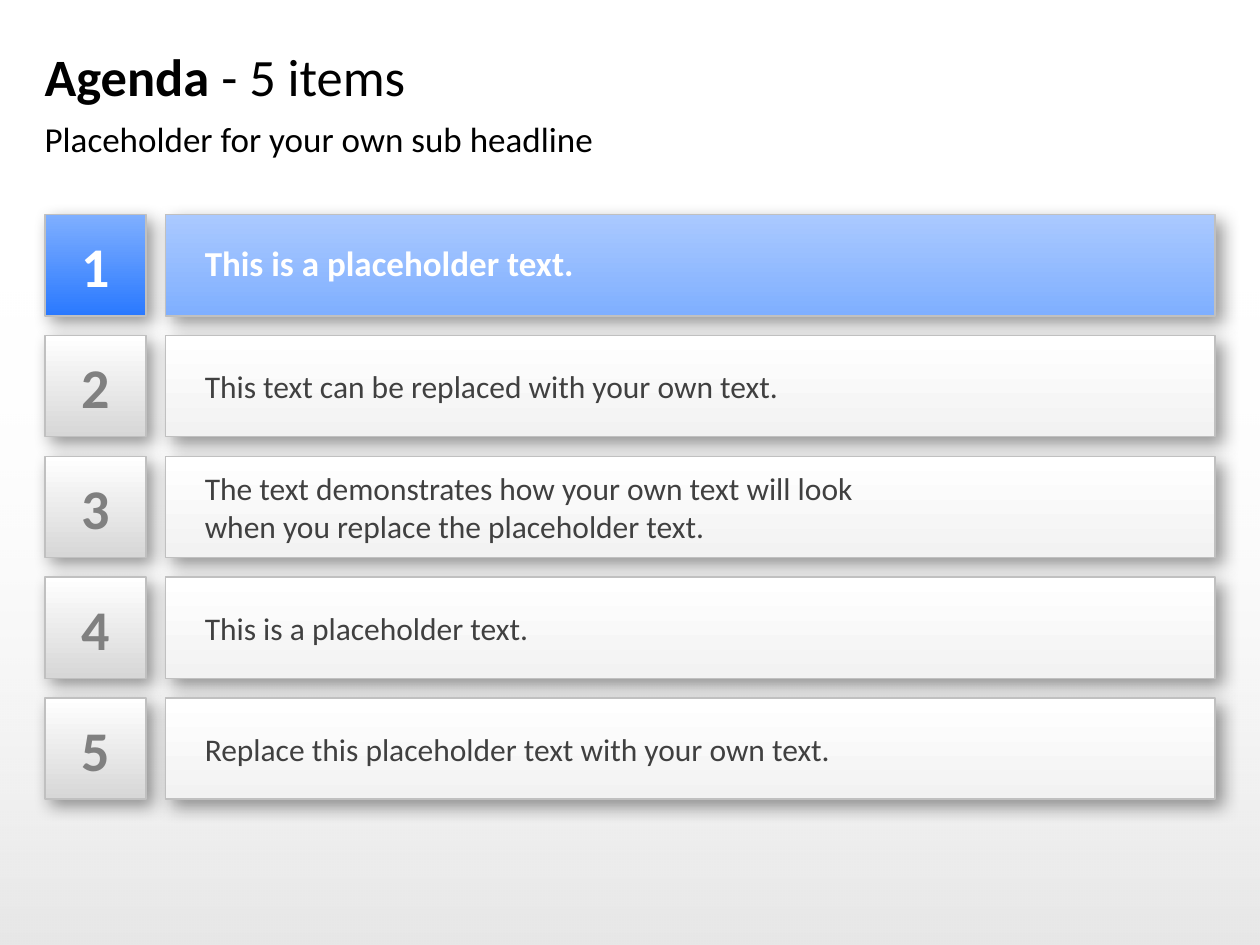
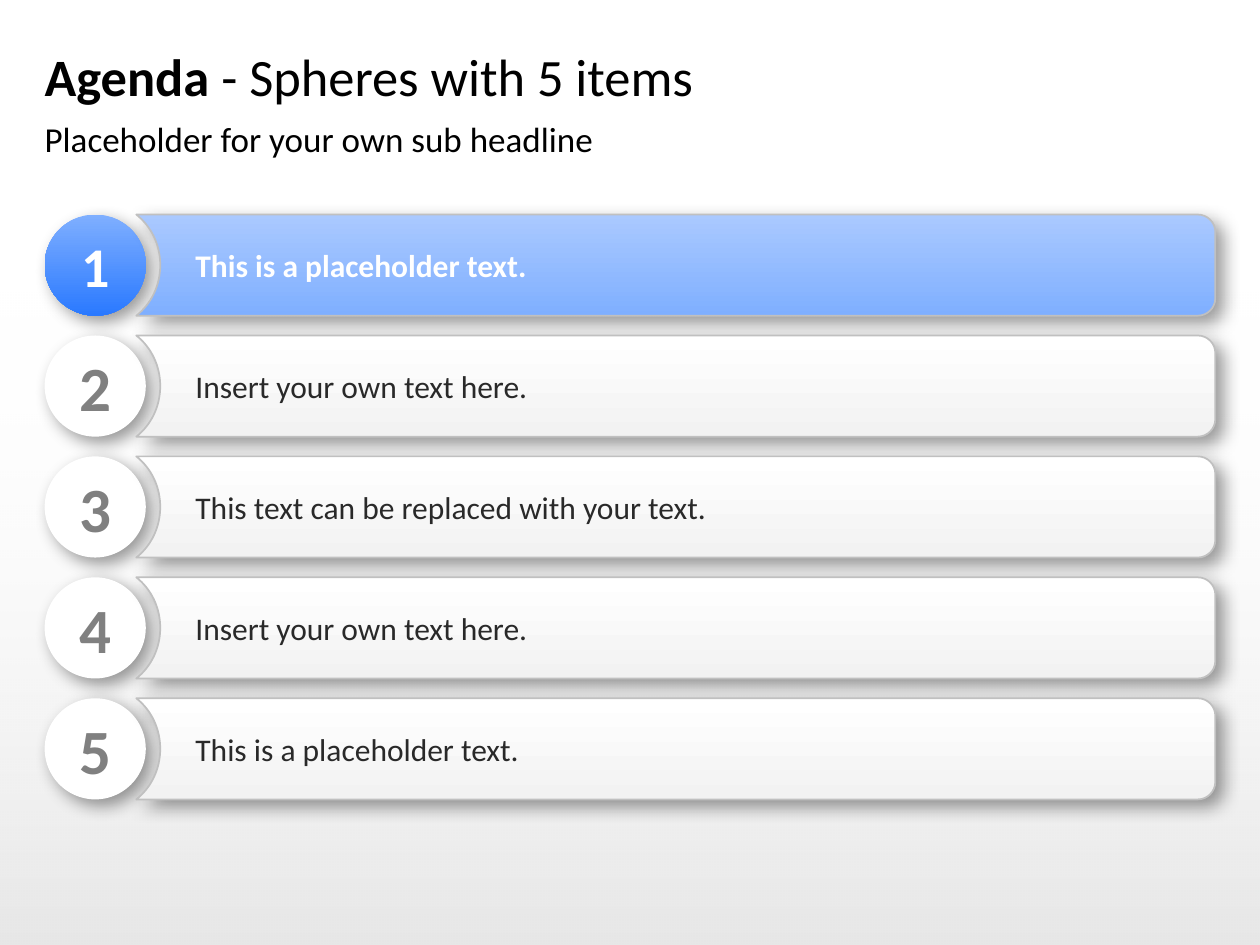
from lxml.etree import Element, SubElement
from pptx import Presentation
from pptx.dml.color import RGBColor
from pptx.enum.shapes import MSO_SHAPE
from pptx.enum.text import MSO_ANCHOR, MSO_AUTO_SIZE, PP_ALIGN
from pptx.oxml.ns import qn
from pptx.util import Pt

COLORS = {
    "black": "000000",
    "white": "FFFFFF",
    "border": "C0C0C0",
    "number": "808080",
    "box_text": "404040",
    "sphere_text": "292929",
    "blue": "7FAFFF",
    "deep_blue": "2A79FF",
    "pale_blue": "AAC9FF",
    "silver": "D7D7D7",
    "mist": "F2F2F2",
}
FONT = "Calibri"
LEFT, TOP, WIDTH = 25.5, 122.6, 669
ROW, PITCH = 57.8, 69.1
BAR_LEFT = 69
SPHERE_BAR_LEFT = 52.4
NOTCH, CORNER = 13.7, 10

AGENDA_ITEMS = [
    "This is a placeholder text.",
    "This text can be replaced with your own text.",
    "The text demonstrates how your own text will look \vwhen you replace the placeholder text.",
    "This is a placeholder text.",
    "Replace this placeholder text with your own text.",
]
SPHERE_ITEMS = [
    "This is a placeholder text.",
    "Insert your own text here.",
    "This text can be replaced with your text.",
    "Insert your own text here.",
    "This is a placeholder text.",
]


def rgb(color):
    return RGBColor.from_string(COLORS[color])


def apply(target, values):
    for name, value in values.items():
        setattr(target, name, value)


def style_spans(para, size, color, bold=False):
    for span in para.runs:
        apply(span.font, {"name": FONT, "size": Pt(size), "bold": bold})
        span.font.color.rgb = rgb(color)


def frame_text(shape, anchor, inset=0):
    frame = shape.text_frame
    apply(frame, {
        "word_wrap": True,
        "auto_size": MSO_AUTO_SIZE.NONE,
        "vertical_anchor": anchor,
        "margin_left": Pt(inset),
        "margin_right": 0,
        "margin_top": 0,
        "margin_bottom": 0,
    })
    return frame.paragraphs[0]


def place(shape, left, top, width, height):
    apply(shape, {"left": Pt(left), "top": Pt(top), "width": Pt(width), "height": Pt(height)})


def fill_down(shape, top_color, bottom_color):
    shape.fill.gradient()
    shape.fill.gradient_angle = 270
    for stop, color in zip(shape.fill.gradient_stops, (top_color, bottom_color)):
        stop.color.rgb = rgb(color)


def cast_shadow(shape):
    shape.shadow.inherit = False
    effects = shape.element.spPr.find(qn("a:effectLst"))
    shadow = SubElement(effects, qn("a:outerShdw"), blurRad=str(Pt(10)), dist=str(Pt(5)),
                        dir="2700000", algn="tl", rotWithShape="0")
    color = SubElement(shadow, qn("a:srgbClr"), val=COLORS["black"])
    SubElement(color, qn("a:alpha"), val="40000")


def outline(shape):
    shape.line.color.rgb = rgb("border")
    shape.line.width = Pt(1)


def write(shape, text, size, color, bold, align, inset=0):
    para = frame_text(shape, MSO_ANCHOR.MIDDLE, inset)
    para.text = text
    para.alignment = align
    style_spans(para, size, color, bold)
    return para


def add_master_shade(deck, page):
    shade = page.shapes.add_shape(MSO_SHAPE.RECTANGLE, 0, Pt(159), Pt(720), Pt(381))
    fill_down(shade, "white", "black")
    for color, alpha in zip(shade.element.spPr.iter(qn("a:srgbClr")), ("0", "10000")):
        SubElement(color, qn("a:alpha"), val=alpha)
    shade.line.fill.background()
    shade.shadow.inherit = False
    deck.slide_master.shapes.element.insert(2, shade.element)


def add_headline(page, topic):
    title, subtitle = page.placeholders
    place(title, LEFT, 19.1, WIDTH, 48.2)
    para = frame_text(title, MSO_ANCHOR.MIDDLE)
    para.alignment = PP_ALIGN.LEFT
    for text in ("Agenda ", topic):
        para.add_run().text = text
    style_spans(para, 30, "black")
    para.runs[0].font.bold = True

    place(subtitle, LEFT, 67.2, WIDTH, 26.6)
    para = frame_text(subtitle, MSO_ANCHOR.TOP)
    para.text = "Placeholder for your own sub headline"
    para.space_before = Pt(0)
    properties = para._p.get_or_add_pPr()
    properties.set("marL", "0")
    properties.set("indent", "0")
    SubElement(properties, qn("a:buNone"))
    style_spans(para, 20, "black")


def add_box_row(shapes, number, text, left, top, active):
    badge = shapes.add_shape(MSO_SHAPE.RECTANGLE, Pt(left), Pt(top), Pt(ROW), Pt(ROW))
    bar = shapes.add_shape(MSO_SHAPE.RECTANGLE, Pt(left + BAR_LEFT), Pt(top),
                           Pt(WIDTH - BAR_LEFT), Pt(ROW))
    fill_down(badge, *(("blue", "deep_blue") if active else ("white", "silver")))
    outline(badge)
    write(badge, number, 32, "white" if active else "number", True, PP_ALIGN.CENTER)
    para = write(bar, text, 20 if active else 18, "white" if active else "box_text",
                 active, PP_ALIGN.LEFT, 22.5)
    if active:
        para.line_spacing = 0.9
    return badge, bar


def bend(shape, curve_starts):
    lines = list(shape.element.spPr.iter(qn("a:lnTo")))
    for start in curve_starts:
        curve = Element(qn("a:cubicBezTo"))
        lines[start].addprevious(curve)
        for line in lines[start:start + 3]:
            curve.append(line[0])
            line.getparent().remove(line)


def add_notched_bar(shapes, left, top, width):
    half, near = ROW / 2, CORNER * 0.45
    points = [
        (width - CORNER, 0),
        (width - near, 0), (width, near), (width, CORNER),
        (width, ROW - CORNER),
        (width, ROW - near), (width - near, ROW), (width - CORNER, ROW),
        (0, ROW),
        (8.6, ROW - 6.8), (NOTCH, ROW - 17.3), (NOTCH, half),
        (NOTCH, 17.3), (8.6, 6.8), (0, 0),
    ]
    builder = shapes.build_freeform(Pt(left), Pt(top))
    builder.add_line_segments([(Pt(left + x), Pt(top + y)) for x, y in points])
    bar = builder.convert_to_shape()
    bend(bar, (1, 5, 9, 12))
    return bar


def add_sphere_row(shapes, number, text, left, top, active):
    sphere = shapes.add_shape(MSO_SHAPE.OVAL, Pt(left), Pt(top), Pt(ROW), Pt(ROW))
    bar = add_notched_bar(shapes, left + SPHERE_BAR_LEFT, top, WIDTH - SPHERE_BAR_LEFT)
    if active:
        fill_down(sphere, "blue", "deep_blue")
    else:
        sphere.fill.solid()
        sphere.fill.fore_color.rgb = rgb("white")
    sphere.line.fill.background()
    write(sphere, number, 32 if active else 36, "white" if active else "number",
          True, PP_ALIGN.CENTER)
    write(bar, text, 18, "white" if active else "sphere_text", active, PP_ALIGN.LEFT, 33.8)
    return sphere, bar


def add_agenda(page, topic, items, add_row):
    add_headline(page, topic)
    for index, text in enumerate(items):
        active = index == 0
        group = page.shapes.add_group_shape()
        badge, bar = add_row(group.shapes, str(index + 1), text, LEFT,
                             TOP + index * PITCH, active)
        fill_down(bar, *(("pale_blue", "blue") if active else ("white", "mist")))
        outline(bar)
        for shape in (badge, bar):
            cast_shadow(shape)


def main():
    deck = Presentation()
    apply(deck, {"slide_width": Pt(720), "slide_height": Pt(540)})
    layout = deck.slide_layouts[1]
    pages = [deck.slides.add_slide(layout) for _ in range(2)]
    add_master_shade(deck, pages[0])
    add_agenda(pages[0], "- 5 items", AGENDA_ITEMS, add_box_row)
    add_agenda(pages[1], "- Spheres with 5 items", SPHERE_ITEMS, add_sphere_row)
    deck.save("out.pptx")


if __name__ == "__main__":
    main()
